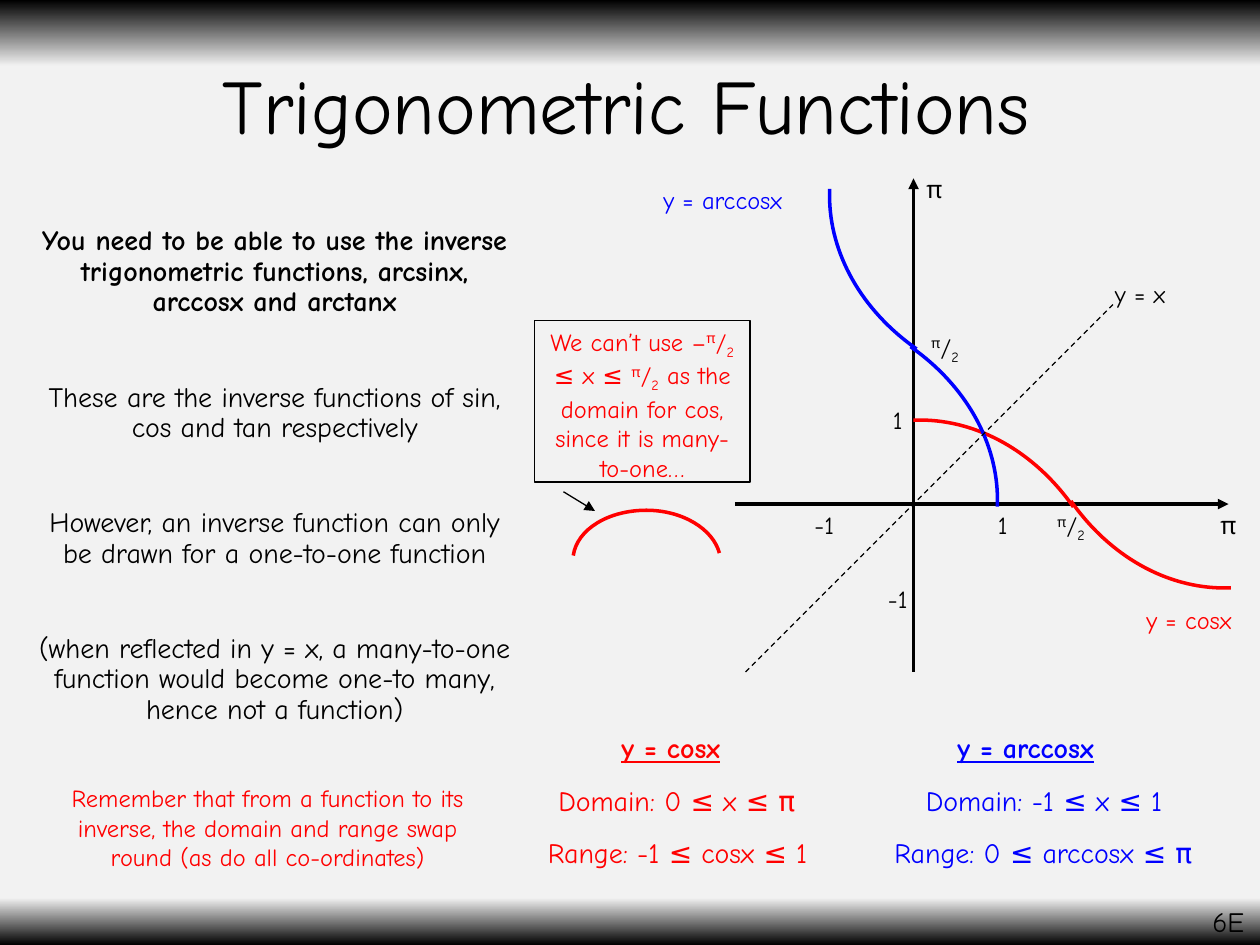
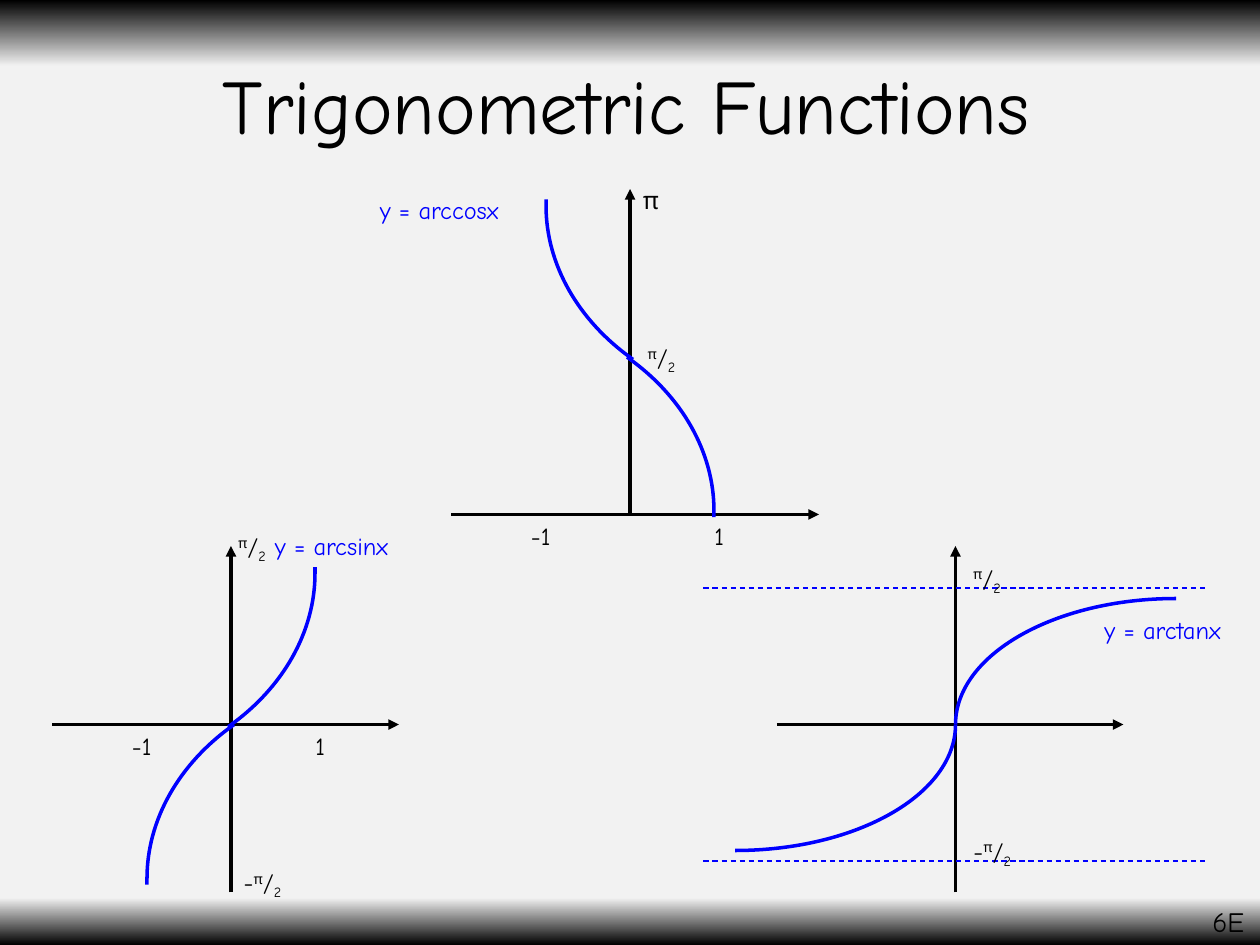
"""Build two slides on the inverse trigonometric functions."""
from copy import deepcopy
from lxml import etree
from pptx import Presentation
from pptx.dml.color import RGBColor
from pptx.enum.dml import MSO_LINE
from pptx.enum.lang import MSO_LANGUAGE_ID
from pptx.enum.shapes import MSO_CONNECTOR, MSO_SHAPE
from pptx.enum.text import MSO_ANCHOR, MSO_AUTO_SIZE, PP_ALIGN
from pptx.oxml.ns import qn
from pptx.util import Pt

BLACK = RGBColor(0, 0, 0)
PALE = RGBColor(0xF2, 0xF2, 0xF2)
RED = RGBColor(0xFF, 0, 0)
BLUE = RGBColor(0, 0, 0xFF)
FONT = "Comic Neue"
BRITISH = MSO_LANGUAGE_ID.ENGLISH_UK
LEFT, CENTER = PP_ALIGN.LEFT, PP_ALIGN.CENTER
TOP, MIDDLE = MSO_ANCHOR.TOP, MSO_ANCHOR.MIDDLE
NO_FIT = MSO_AUTO_SIZE.NONE
DASH, STRAIGHT = MSO_LINE.DASH, MSO_CONNECTOR.STRAIGHT
RECT = MSO_SHAPE.RECTANGLE

BANDS = [(0, BLACK), (7, PALE), (95, PALE), (100, BLACK)]
TITLE = "Trigonometric Functions"
TITLE_BOX = (47.8, 10.4, 620.6, 104.4)
BODY_BOX = (12, 126, 290, 356.4)
PAGE, PAGE_BOX = "6E", (685.7, 513.6, 40, 26.6)

HALF = [("π", 30), ("/", 0), ("2", -25)]
MINUS_HALF = [("-", 0)] + HALF

POINTS = [
    "You need to be able to use the inverse trigonometric functions, "
    "arcsinx, arccosx and arctanx",
    "These are the inverse functions of sin, cos and tan respectively",
    "However, an inverse function can only be drawn for a one-to-one function",
    "(when reflected in y = x, a many-to-one function would become "
    "one-to many, hence not a function)",
]
SWAP = ("Remember that from a function to its inverse, the domain and range "
        "swap round (as do all co-ordinates)")
SWAP_BOX = (24, 444, 258, 57.6)
NOTE = ([("We can’t use –", 0)] + HALF + [(" ≤ x ≤ ", 0)] + HALF
        + [(" as the domain for cos, since it is many-to-one…", 0)])
NOTE_BOX = (305.5, 183.2, 123.1, 92.2)
NOTE_ARROW = (322, 281, 340, 292)

TERM_TOP, TERM_STEP = 414, 30
TERMS = [
    (RED, [("y = cosx", 348, 96), ("Domain: 0 ≤ x ≤ π", 312, 180),
           ("Range: -1 ≤ cosx ≤ 1", 306, 174)]),
    (BLUE, [("y = arccosx", 540, 114), ("Domain: -1 ≤ x ≤ 1", 522, 150),
            ("Range: 0 ≤ arccosx ≤ π", 504, 192)]),
]

# Each arc lists its Bézier knots, then the pivot of its wedge.
WAVE = [(0, 0), (1.2, 0), (2.4, 0), (3.6, 0), (36.7, 0), (69.1, 18), (91.4, 49.7),
        (3.6, 156)]
FAN = [(0, 0), (69.4, 0), (126, 32.2), (126, 72), (0, 72)]
CAP = [(0, 25.9), (2.2, 10.8), (20.2, 0), (41.8, 0), (62.6, 0), (79.9, 10.8),
       (83.5, 24.5), (41.8, 28.8)]

GRAPHS = [
    {
        "axes": [(522, 384, 522, 102), (420, 288, 702, 288)],
        "dashes": [(426, 384, 636, 174, BLACK)],
        "curves": [
            (WAVE, 612, 180, -1, -1, 0, RED), (WAVE, 522, 240, 1, 1, 0, RED),
            (WAVE, 446.3, 165.8, -1, 1, 90, BLUE),
            (WAVE, 506.3, 75.7, 1, -1, 90, BLUE),
            (CAP, 327.6, 291.6, 1, 1, 0, RED),
        ],
        "ticks": [
            (HALF, 594, 288, 36), ("-1", 456, 288, 30), ("1", 498, 228, 30),
            ("π", 684, 288, 36), ("-1", 498, 330, 30), (HALF, 522, 186, 36),
            ("π", 516, 96, 36), ("1", 558, 288, 30),
        ],
        "names": [
            ("y = cosx", 648, 342, 72, RED), ("y = arccosx", 372, 102, 102, BLUE),
            ("y = x", 630, 156, 60, BLACK),
        ],
    },
    {
        "axes": [
            (132, 510, 132, 312), (30, 414, 228, 414),
            (360, 294, 360, 108), (258, 294, 468, 294),
            (546, 510, 546, 312), (444, 414, 642, 414),
        ],
        "dashes": [(402, 336, 690, 336, BLUE), (402, 492, 690, 492, BLUE)],
        "curves": [
            (WAVE, 56.3, 291.7, -1, -1, 270, BLUE),
            (WAVE, 116.3, 381.8, 1, 1, 270, BLUE),
            (WAVE, 284.3, 171.8, -1, 1, 90, BLUE),
            (WAVE, 344.3, 81.7, 1, -1, 90, BLUE),
            (FAN, 546, 342, 1, -1, 180, BLUE), (FAN, 420, 414, -1, 1, 180, BLUE),
        ],
        "ticks": [
            ("1", 168, 414, 30), (MINUS_HALF, 126, 492, 48), ("-1", 66, 414, 30),
            ("-1", 294, 294, 30), (HALF, 360, 192, 36), ("π", 354, 102, 36),
            ("1", 396, 294, 30), (HALF, 546, 318, 36),
            (MINUS_HALF, 546, 474, 42), (HALF, 120, 300, 48),
        ],
        "names": [
            ("y = arcsinx", 150, 300, 102, BLUE),
            ("y = arccosx", 210, 108, 102, BLUE),
            ("y = arctanx", 624, 348, 96, BLUE),
        ],
    },
]


def write(para, text, size, color, align=LEFT, bold=False, under=False):
    para.alignment = align
    for part, base in [(text, 0)] if isinstance(text, str) else text:
        run = para.add_run()
        run.text = part
        font = run.font
        font.name, font.size, font.language_id = FONT, Pt(size), BRITISH
        font.color.rgb = color
        if bold:
            font.bold = True
        if under:
            font.underline = True
        if base:
            run._r.get_or_add_rPr().set("baseline", str(base * 1000))


def label(slide, text, box, size, color, align=LEFT, **style):
    frame = slide.shapes.add_textbox(*map(Pt, box)).text_frame
    frame.word_wrap = True
    write(frame.paragraphs[0], text, size, color, align, **style)


def draw_line(slide, ends, color, width, dashed=False, arrow=False):
    link = slide.shapes.add_connector(STRAIGHT, *map(Pt, ends))
    link.line.color.rgb, link.line.width = color, Pt(width)
    if dashed:
        link.line.dash_style = DASH
    if arrow:
        etree.SubElement(link.line._get_or_add_ln(), qn("a:tailEnd"), type="triangle")
    etree.SubElement(link._element.spPr, qn("a:effectLst"))


def bend(curve):
    """Turn the straight outline into Bézier arcs and an unlined wedge."""
    outline = next(curve._element.iter(qn("a:path")))
    *knots, pivot = list(outline.iter(qn("a:pt")))
    for step in list(outline):
        outline.remove(step)
    etree.SubElement(outline, qn("a:moveTo")).append(knots[0])
    for i in range(1, len(knots), 3):
        etree.SubElement(outline, qn("a:cubicBezTo")).extend(knots[i:i + 3])
    wedge = deepcopy(outline)
    etree.SubElement(wedge, qn("a:lnTo")).append(pivot)
    etree.SubElement(wedge, qn("a:close"))
    outline.set("fill", "none")
    wedge.set("stroke", "0")
    outline.addnext(wedge)


def draw_curve(slide, arc, left, top, across, down, turn, color):
    wide, high = (max(side) for side in zip(*arc))
    points = [(Pt(left + (x if across > 0 else wide - x)),
               Pt(top + (y if down > 0 else high - y))) for x, y in arc]
    pen = slide.shapes.build_freeform(*points[0])
    pen.add_line_segments(points[1:], close=False)
    curve = pen.convert_to_shape()
    bend(curve)
    curve.rotation = turn
    curve.shadow.inherit = False
    curve.fill.background()
    curve.line.color.rgb, curve.line.width = color, Pt(2)


def place(holder, box, anchor):
    holder.left, holder.top, holder.width, holder.height = map(Pt, box)
    frame = holder.text_frame
    frame.auto_size, frame.vertical_anchor = NO_FIT, anchor
    return frame


def paint_bands(master):
    master.background.fill.gradient()
    grad = next(master.element.iter(qn("a:gradFill")))
    stops = grad.find(qn("a:gsLst"))
    for stop in list(stops):
        stops.remove(stop)
    for spot, color in BANDS:
        stop = etree.SubElement(stops, qn("a:gs"), pos=str(spot * 1000))
        etree.SubElement(stop, qn("a:srgbClr"), val=str(color))
    grad.find(qn("a:lin")).set("ang", "5400000")


def add_page(deck, layout, graph):
    slide = deck.slides.add_slide(deck.slide_layouts[layout])
    para = place(slide.shapes.title, TITLE_BOX, MIDDLE).paragraphs[0]
    para.line_spacing = 0.9
    write(para, TITLE, 44, BLACK, CENTER)
    for ends in graph["axes"]:
        draw_line(slide, ends, BLACK, 2, arrow=True)
    for curve in graph["curves"]:
        draw_curve(slide, *curve)
    for *ends, color in graph["dashes"]:
        draw_line(slide, ends, color, 0.75, dashed=True)
    for text, left, top, width in graph["ticks"]:
        label(slide, text, (left, top, width, 24), 14, BLACK, CENTER)
    for text, left, top, width, color in graph["names"]:
        label(slide, text, (left, top, width, 24), 14, color)
    label(slide, PAGE, PAGE_BOX, 16, BLACK)
    return slide


def add_points(slide):
    frame = place(slide.placeholders[1], BODY_BOX, TOP)
    for i, text in enumerate(POINTS):
        para = frame.add_paragraph() if i else frame.paragraphs[0]
        para.line_spacing, para.space_before = 0.9, Pt(37.4 if i else 0)
        props = para._p.get_or_add_pPr()
        props.set("marL", "0")
        props.set("indent", "0")
        etree.SubElement(props, qn("a:buNone"))
        write(para, text, 16, BLACK, CENTER, bold=i == 0)


def add_note(slide):
    note = slide.shapes.add_shape(RECT, *map(Pt, NOTE_BOX))
    note.shadow.inherit = False
    note.fill.background()
    note.line.color.rgb, note.line.width = BLACK, Pt(0.75)
    frame = note.text_frame
    frame.word_wrap, frame.vertical_anchor = True, TOP
    write(frame.paragraphs[0], NOTE, 14, RED, CENTER)
    draw_line(slide, NOTE_ARROW, BLACK, 0.75, arrow=True)


def add_terms(slide):
    for color, rows in TERMS:
        for i, (text, left, width) in enumerate(rows):
            box = (left, TERM_TOP + i * TERM_STEP, width, 26.6)
            label(slide, text, box, 16, color, bold=i == 0, under=i == 0)


def main():
    deck = Presentation()
    deck.slide_width, deck.slide_height = Pt(720), Pt(540)
    paint_bands(deck.slide_master)
    first = add_page(deck, 1, GRAPHS[0])
    add_points(first)
    add_note(first)
    add_terms(first)
    label(first, SWAP, SWAP_BOX, 14, RED, CENTER)
    add_page(deck, 5, GRAPHS[1])
    deck.save("out.pptx")


if __name__ == "__main__":
    main()
